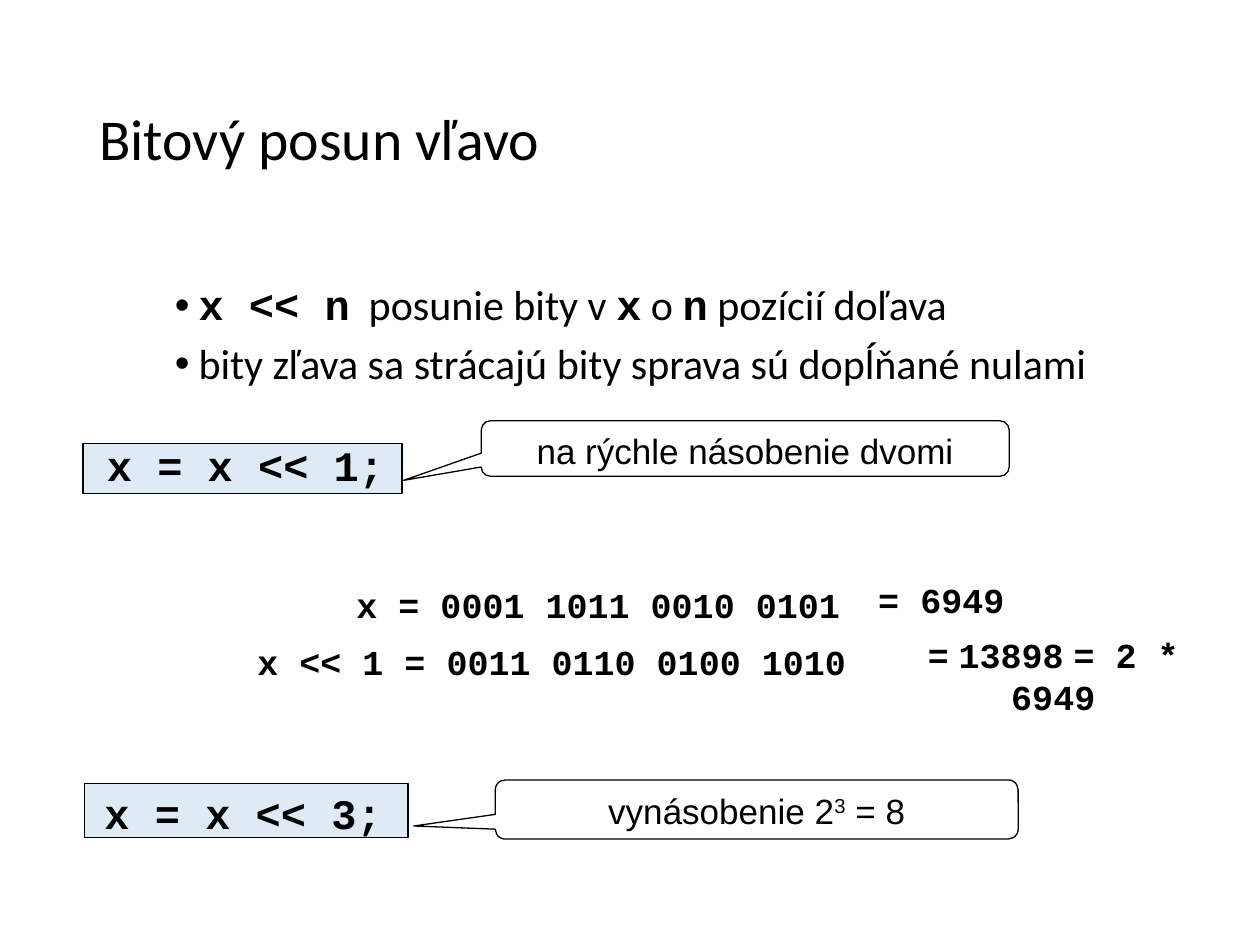
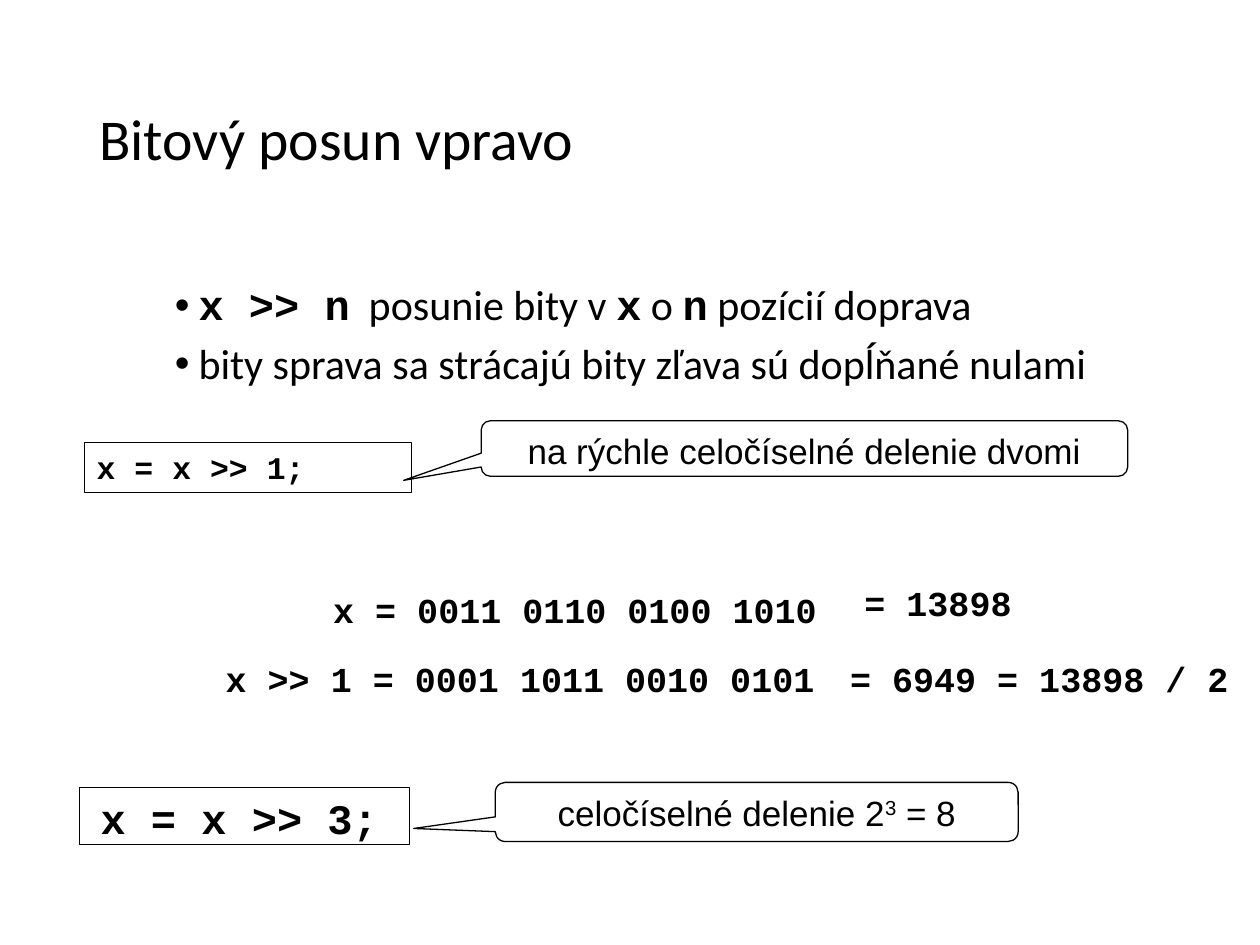
from lxml.etree import SubElement
from pptx import Presentation
from pptx.dml.color import RGBColor
from pptx.enum.shapes import MSO_SHAPE
from pptx.enum.text import MSO_ANCHOR, PP_ALIGN
from pptx.oxml.ns import qn
from pptx.util import Pt

BLACK, WHITE, PALE = "000000", "FFFFFF", "DEEBF7"
SANS, CODE, BODY = "Arial", "Courier New", "Calibri"
RECT, CALL = MSO_SHAPE.RECTANGLE, MSO_SHAPE.ROUNDED_RECTANGULAR_CALLOUT


def hue(code):
    return RGBColor.from_string(code)


def put(page, box, *paras, kind=None, fill=None, line=None, adjust=(), face=CODE,
        size=20, align=PP_ALIGN.LEFT, anchor=MSO_ANCHOR.TOP, wrap=True,
        bullet=False, lead=None):
    area = [Pt(n) for n in box]
    if kind is None:
        shape = page.shapes.add_textbox(*area)
    else:
        shape = page.shapes.add_shape(kind, *area)
        shape.shadow.inherit = False
        for spot, value in enumerate(adjust):
            shape.adjustments[spot] = value
        shape.fill.solid()
        shape.fill.fore_color.rgb = hue(fill)
        if line:
            shape.line.color.rgb = hue(line)
            shape.line.width = Pt(0.75)
        else:
            shape.line.fill.background()
    frame = shape.text_frame
    frame.word_wrap = wrap
    frame.vertical_anchor = anchor
    for spot, runs in enumerate(paras):
        para = frame.add_paragraph() if spot else frame.paragraphs[0]
        para.alignment = align
        if lead:
            para.line_spacing = lead
        if bullet:
            if spot:
                para.space_before = Pt(7.5)
            props = para._p.get_or_add_pPr()
            props.set("marL", str(Pt(13.5)))
            props.set("indent", str(-Pt(13.5)))
            SubElement(props, qn("a:buFont")).set("typeface", SANS)
            SubElement(props, qn("a:buChar")).set("char", "•")
        for part in [runs] if isinstance(runs, str) else runs:
            words, style = (part, face) if isinstance(part, str) else part
            run = para.add_run()
            run.text = words
            font = run.font
            font.size = Pt(size)
            font.color.rgb = hue(BLACK)
            font.name = face if style == "sup" else style
            font.bold = style == CODE
            if style == "sup":
                run._r.get_or_add_rPr().set("baseline", "30000")


pages = [
    dict(
        title="Bitový posun vľavo", sign="x << n", way=" pozícií doľava",
        rule="bity zľava sa strácajú bity sprava sú dopĺňané nulami",
        bars=[(47.5, 253.4, 182.2, 28.8), (48.2, 447.8, 185, 31)], fill=PALE,
        codes=[("x = x << 1;", (54, 247.7, 182.9, 36), 24),
               ("x = x << 3;", (52.6, 446.4, 181.4, 36), 24)],
        sums=[("x = 0001 1011 0010 0101", (172.8, 329.8, 338.4, 31.7)),
              ("x << 1 = 0011 0110 0100 1010", (121.7, 362.2, 387.4, 31.7)),
              ("= 6949", (484.6, 326.9, 106.6, 31.7)),
              (["=", (" ", SANS), "13898", (" ", SANS), "= 2 * 6949"],
               (493.2, 358.6, 217.4, 31.7))],
        notes=[("na rýchle násobenie dvomi", 301.7, -0.647),
               (["vynásobenie 2", ("3", "sup"), " = 8"], 445.7, -0.656)],
    ),
    dict(
        title="Bitový posun vpravo", sign="x >> n", way=" pozícií doprava",
        rule="bity sprava sa strácajú bity zľava sú dopĺňané nulami",
        bars=[(48.2, 252.7, 187.2, 28.8), (45.4, 450, 188.6, 32.4)], fill=WHITE,
        codes=[("x = x >> 1;", (48.2, 252.7, 187.2, 28.8), 18),
               ("x = x >> 3;", (50.4, 449.3, 180, 36), 24)],
        sums=[("x = 0011 0110 0100 1010", (172.8, 332.6, 311.8, 31.7)),
              ("x >> 1 = 0001 1011 0010 0101", (115.9, 372.2, 362.9, 31.7)),
              ("= 13898", (478.8, 329, 114.5, 31.7)),
              ("= 6949 = 13898 / 2", (468, 372.2, 252, 31.7))],
        notes=[("na rýchle celočíselné delenie dvomi", 369.4, -0.62),
               (["celočíselné delenie 2", ("3", "sup"), " = 8"], 447.1, -0.656)],
    ),
]

deck = Presentation()
deck.slide_width, deck.slide_height = Pt(720), Pt(540)

for data in pages:
    page = deck.slides.add_slide(deck.slide_layouts[6])
    put(page, (49.7, 28.8, 621.4, 104.4), data["title"], face=BODY, size=33,
        anchor=MSO_ANCHOR.MIDDLE, lead=0.9)
    first = [(data["sign"], CODE), "  posunie bity v ", ("x", CODE), " o ",
             ("n", CODE), data["way"]]
    put(page, (92.9, 159.1, 612, 95.8), first, data["rule"], face=BODY, size=24,
        bullet=True, lead=0.9)
    for bar, (code, box, size) in zip(data["bars"], data["codes"]):
        if bar == box:
            put(page, bar, code, kind=RECT, fill=data["fill"], line=BLACK, size=size)
        else:
            put(page, bar, kind=RECT, fill=data["fill"], line=BLACK)
            put(page, box, code, size=size)
    for words, box in data["sums"]:
        put(page, box, words, align=PP_ALIGN.CENTER, wrap=isinstance(words, str))
    (fast, wide, tip), (power, top, end) = data["notes"]
    for words, box, tail in [(fast, (275, 240.5, wide, 31.7), (tip, 0.574)),
                             (power, (283, top, 298.8, 33.8), (end, 0.28))]:
        put(page, box, words, kind=CALL, fill=WHITE, line=BLACK, face=SANS,
            adjust=(*tail, 0.167), align=PP_ALIGN.CENTER)

deck.save("out.pptx")
